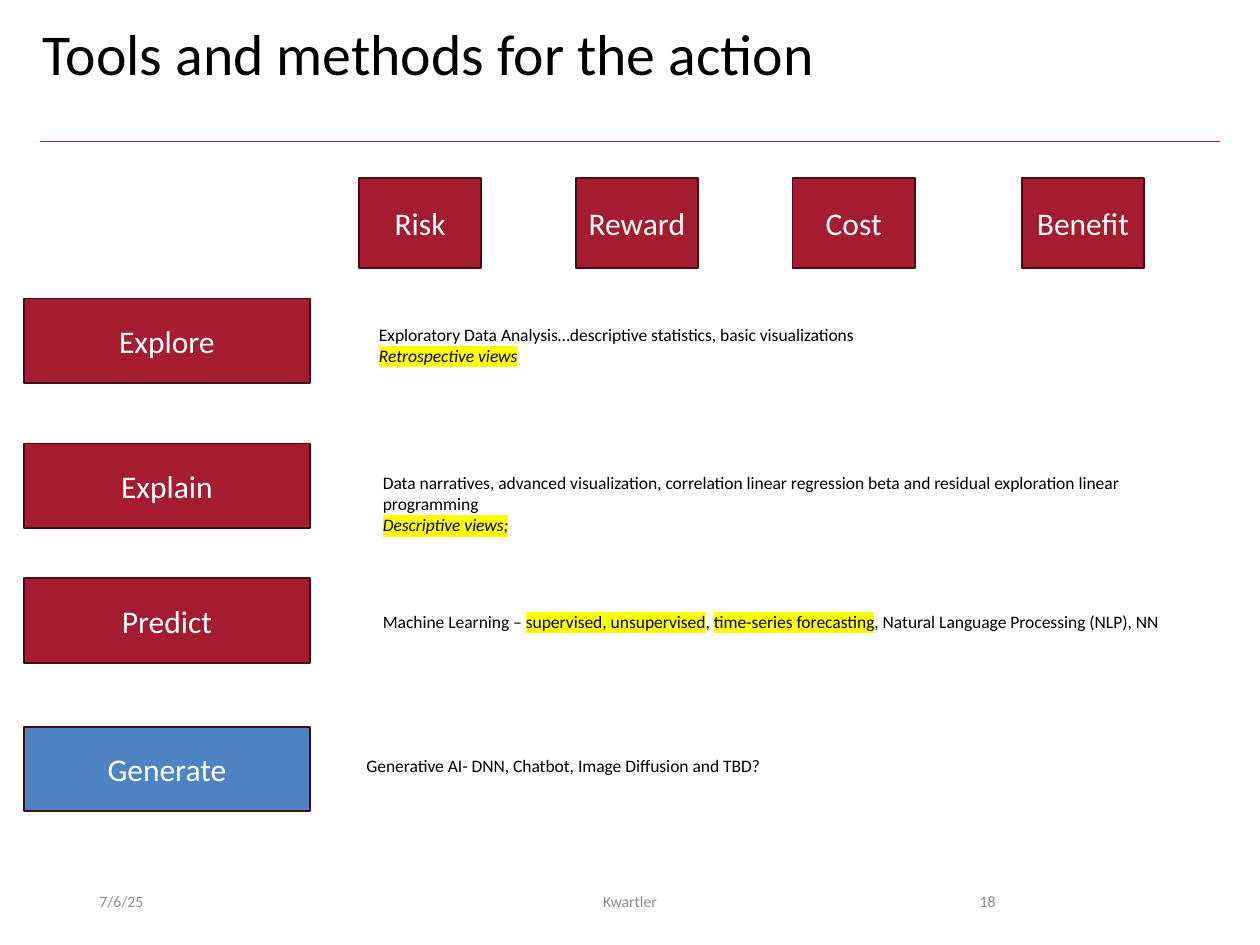
import pptx
import pptx.util
import pptx.dml.color
import pptx.enum.shapes
import pptx.enum.text
from lxml import etree
from pptx.util import Inches

COLORS = {"crimson": "A51C30", "border": "480C15", "blue": "4E84C4",
          "white": "FFFFFF", "black": "000000", "gray": "8C8C8C",
          "highlight": "FFFF00"}
DRAWING = "http://schemas.openxmlformats.org/drawingml/2006/main"
ALIGN = pptx.enum.text.PP_ALIGN
ANCHOR = pptx.enum.text.MSO_ANCHOR


def rgb(name):
    return pptx.dml.color.RGBColor.from_string(COLORS[name])


def style(para, size, color, align=ALIGN.LEFT):
    para.alignment = align
    para.font.name = "Calibri"
    para.font.size = pptx.util.Pt(size)
    para.font.color.rgb = rgb(color)


deck = pptx.Presentation()
deck.slide_width, deck.slide_height = Inches(10), Inches(7.5)
page = deck.slides.add_slide(deck.slide_layouts[5])

# Title and rule below it
title = page.shapes.title
title.left, title.top = Inches(0.24), Inches(0.15)
title.width, title.height = Inches(9.07), Inches(0.65)
title.text_frame.text = "Tools and methods for the action"
title.text_frame.vertical_anchor = ANCHOR.TOP
title.text_frame.auto_size = pptx.enum.text.MSO_AUTO_SIZE.NONE
title.text_frame.paragraphs[0].line_spacing = 0.9
style(title.text_frame.paragraphs[0], 33, "black")

rule = page.shapes.add_connector(pptx.enum.shapes.MSO_CONNECTOR.STRAIGHT,
                                 Inches(0.32), Inches(1.12), Inches(9.68), Inches(1.12))
rule.line.color.rgb = rgb("crimson")
rule.line.width = pptx.util.Pt(0.5)
etree.SubElement(rule._element.spPr, f"{{{DRAWING}}}effectLst")

# Column headings and row labels: text, left, top, width, height, fill
columns = [("Risk", 2.85), ("Reward", 4.57), ("Cost", 6.29), ("Benefit", 8.11)]
rows = [("Explore", 2.37, "crimson"), ("Explain", 3.52, "crimson"),
        ("Predict", 4.59, "crimson"), ("Generate", 5.77, "blue")]
blocks = [(text, left, 1.41, 0.97, 0.72, "crimson") for text, left in columns]
blocks += [(text, 0.19, top, 2.27, 0.67, fill) for text, top, fill in rows]
for text, left, top, width, height, fill in blocks:
    box = page.shapes.add_shape(pptx.enum.shapes.MSO_SHAPE.RECTANGLE, Inches(left),
                                Inches(top), Inches(width), Inches(height))
    box.shadow.inherit = False
    box.fill.solid()
    box.fill.fore_color.rgb = rgb(fill)
    box.line.color.rgb = rgb("border")
    box.line.width = pptx.util.Pt(1)
    box.text_frame.text = text
    box.text_frame.vertical_anchor = ANCHOR.MIDDLE
    style(box.text_frame.paragraphs[0], 18, "white", ALIGN.CENTER)

# Methods per row: each paragraph is a list of (text, highlighted, italic)
methods = [
    (2.91, 2.52, 0.44, [
        [("Exploratory Data Analysis…descriptive statistics, basic visualizations", False, False)],
        [("Retrospective views", True, True)]]),
    (2.94, 3.7, 0.61, [
        [("Data narratives, advanced visualization, correlation linear regression beta "
          "and residual exploration linear programming", False, False)],
        [("Descriptive views;", True, True)]]),
    (2.94, 4.8, 0.27, [
        [("Machine Learning – ", False, False), ("supervised, unsupervised", True, False),
         (", ", False, False), ("time-series forecasting", True, False),
         (", Natural Language Processing (NLP), NN", False, False)]]),
    (2.81, 5.94, 0.27, [
        [("Generative AI- DNN, Chatbot, Image Diffusion and TBD?", False, False)]]),
]
for left, top, height, paragraphs in methods:
    box = page.shapes.add_textbox(Inches(left), Inches(top), Inches(6.43), Inches(height))
    frame = box.text_frame
    frame.word_wrap = True
    frame.auto_size = pptx.enum.text.MSO_AUTO_SIZE.SHAPE_TO_FIT_TEXT
    for index, spans in enumerate(paragraphs):
        para = frame.paragraphs[0] if index == 0 else frame.add_paragraph()
        style(para, 10, "black")
        for text, highlighted, italic in spans:
            span = para.add_run()
            span.text = text
            if italic:
                span.font.italic = True
            if highlighted:
                mark = etree.SubElement(span._r.get_or_add_rPr(), f"{{{DRAWING}}}highlight")
                etree.SubElement(mark, f"{{{DRAWING}}}srgbClr", val=COLORS["highlight"])

# Footer: date, author, page number
footer = [("7/6/25", 0.69, 2.25, ALIGN.LEFT), ("Kwartler", 3.31, 3.38, ALIGN.CENTER),
          ("18", 7.06, 0.94, ALIGN.RIGHT)]
for text, left, width, align in footer:
    box = page.shapes.add_textbox(Inches(left), Inches(6.95), Inches(width), Inches(0.4))
    box.text_frame.word_wrap = True
    box.text_frame.vertical_anchor = ANCHOR.MIDDLE
    box.text_frame.text = text
    style(box.text_frame.paragraphs[0], 9, "gray", align)

deck.save("out.pptx")
